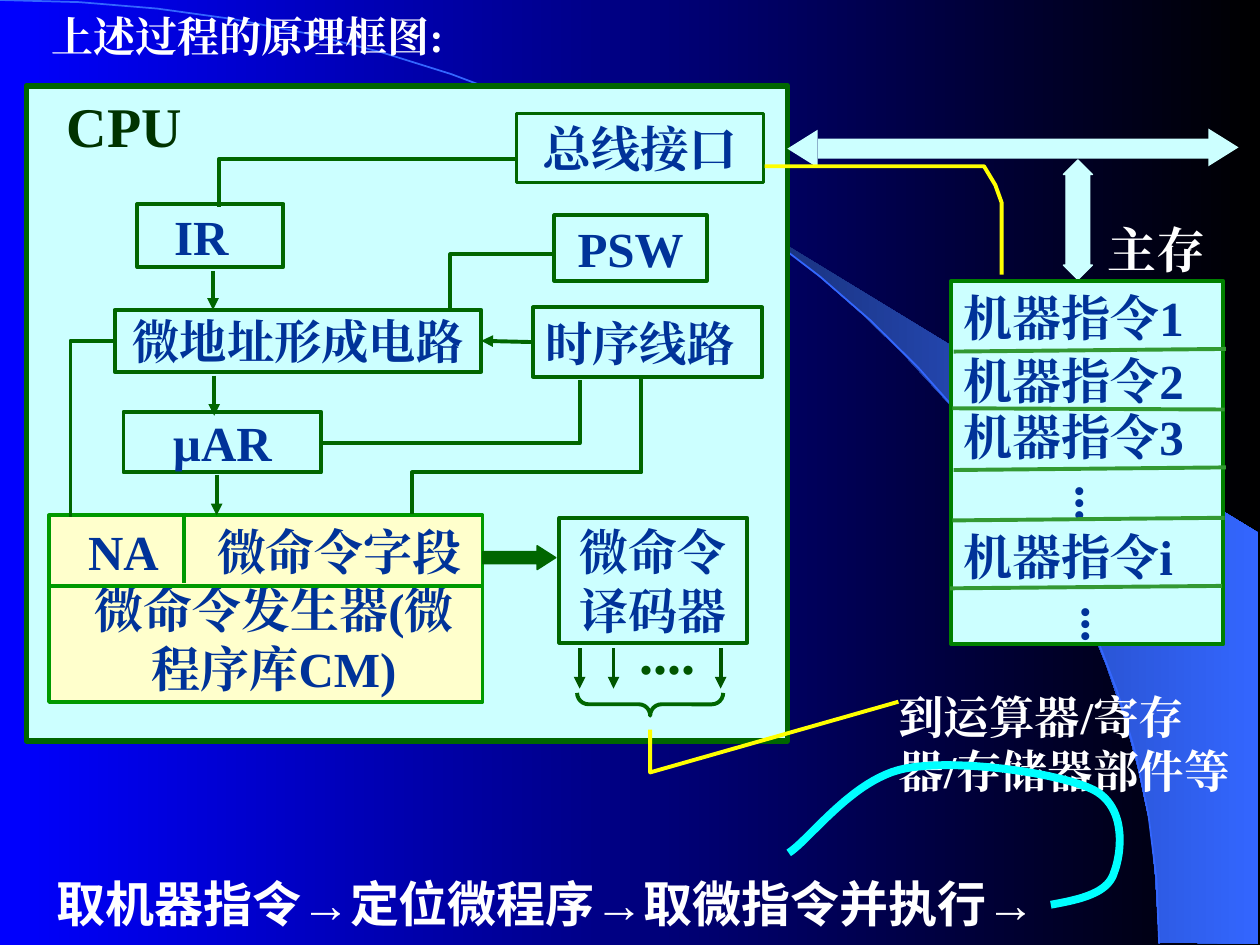
import pptx
import pptx.util
import pptx.dml.color
import pptx.enum.shapes
import pptx.enum.text
import pptx.oxml.ns
from lxml import etree

Pt = pptx.util.Pt
rgb = pptx.dml.color.RGBColor.from_string
qn = pptx.oxml.ns.qn
SHAPE = pptx.enum.shapes.MSO_SHAPE
ALIGN = pptx.enum.text.PP_ALIGN
ANCHOR = pptx.enum.text.MSO_ANCHOR

GREEN, DARK, LIME, MOSS = "006600", "005600", "009900", "339933"
NAVY, WHITE, YELLOW, PALE = "003399", "FFFFFF", "FFFF00", "CCFFFF"
SERIF, SANS = "Times New Roman", "Noto Sans CJK SC"

prs = pptx.Presentation()
prs.slide_width, prs.slide_height = Pt(720), Pt(540)
s = prs.slides.add_slide(prs.slide_layouts[5])


def box(x, y, w, h, text="", size=28, color=NAVY, kind=None, fill=None, line=None, width=2.25,
        align=ALIGN.CENTER, anchor=ANCHOR.MIDDLE, inset=7.2, wrap=True, sp=None):
    """Add a shape (or a text box when kind is None), or format sp; text may be (text, font) runs."""
    if sp is not None:
        sp.left, sp.top, sp.width, sp.height = Pt(x), Pt(y), Pt(w), Pt(h)
    elif kind is None:
        sp = s.shapes.add_textbox(Pt(x), Pt(y), Pt(w), Pt(h))
    else:
        sp = s.shapes.add_shape(kind, Pt(x), Pt(y), Pt(w), Pt(h))
        sp.shadow.inherit = False
        if fill:
            sp.fill.solid()
            sp.fill.fore_color.rgb = rgb(fill)
        else:
            sp.fill.background()
        if line:
            sp.line.color.rgb = rgb(line)
            sp.line.width = Pt(width)
        else:
            sp.line.fill.background()
    if text:
        tf = sp.text_frame
        tf.word_wrap = wrap
        tf.auto_size = pptx.enum.text.MSO_AUTO_SIZE.NONE
        tf.vertical_anchor = anchor
        tf.margin_left, tf.margin_right = Pt(inset), Pt(7.2)
        tf.margin_top = tf.margin_bottom = Pt(3.6)
        p = tf.paragraphs[0]
        p.alignment = align
        p.font.size, p.font.bold = Pt(size), True
        p.font.color.rgb = rgb(color)
        for words, face in [(text, SERIF)] if isinstance(text, str) else text:
            r = p.add_run()
            r.text = words
            r.font.name = face
            etree.SubElement(r.font._element, qn("a:ea"), typeface=face)
    return sp


def stroke(points, color=GREEN, width=2.25, arrow=False):
    """Draw a connector through two points, or an open polyline through more."""
    pts = [(Pt(x), Pt(y)) for x, y in points]
    if len(pts) == 2:
        sp = s.shapes.add_connector(pptx.enum.shapes.MSO_CONNECTOR.STRAIGHT, *pts[0], *pts[1])
    else:
        builder = s.shapes.build_freeform(*pts[0])
        builder.add_line_segments(pts[1:], close=False)
        sp = builder.convert_to_shape()
        sp.fill.background()
    sp.line.color.rgb = rgb(color)
    sp.line.width = Pt(width)
    if arrow:
        etree.SubElement(sp.line._get_or_add_ln(), qn("a:tailEnd"), type="triangle")
    if len(pts) == 2:
        etree.SubElement(sp._element.spPr, qn("a:effectLst"))
    else:
        sp.shadow.inherit = False
    return sp


# Background and decoration
swoosh_points = [
    (662.4, 538.6), (719.3, 539.3), (719.3, 304.6), (424.1, 124.6), (449.3, 143.3), (470.2, 159.8),
    (493.2, 180), (515.5, 201.6), (548.6, 237.6), (578.2, 276.5), (599, 310.3), (617.8, 344.9),
    (632.2, 380.2), (643, 411.8), (650.2, 438.5), (657.4, 472.3), (660.2, 501.1)]
pts = [(Pt(x), Pt(y)) for x, y in swoosh_points]
builder = s.shapes.build_freeform(*pts[0])
builder.add_line_segments(pts[1:], close=True)
swoosh = builder.convert_to_shape()
swoosh.shadow.inherit = False
swoosh.line.fill.background()
for fill, colors in [(s.background.fill, ("0000FF", "000000")), (swoosh.fill, ("182F76", "3366FF"))]:
    fill.gradient()
    fill.gradient_angle = 0
    for stop, position, color in zip(fill.gradient_stops, (0, 1), colors):
        stop.position = position
        stop.color.rgb = rgb(color)

# Curves as cubic Bezier chains, sampled into polylines
arc = [(0, 0), (365.8, 0), (662.4, 241.2), (662.4, 539.3)]
loop = [(600.5, 517), (617, 514.1), (632.9, 510.5), (636.5, 499), (640.8, 488.2), (644.4, 461.5),
        (625, 451.4), (604.8, 441.4), (545.8, 433.4), (517, 439.2), (487.4, 445), (463, 479.5),
        (450.7, 487.4)]
curves = []
for chain in (arc, loop):
    points = [chain[0]]
    for i in range(0, len(chain) - 1, 3):
        a, b, c, d = chain[i:i + 4]
        for t in [k / 24 for k in range(1, 25)]:
            u = 1 - t
            points.append(tuple(u**3 * a[j] + 3 * u * u * t * b[j] + 3 * u * t * t * c[j] + t**3 * d[j]
                                for j in (0, 1)))
    curves.append(points)
stroke(curves[0], "3366FF", 1)

title = box(22.3, 2.2, 373, 36, "上述过程的原理框图:", 24, WHITE, align=ALIGN.LEFT,
            anchor=ANCHOR.TOP, sp=s.shapes.title)
s.shapes.element.append(title.element)

# CPU and its blocks
RECT = SHAPE.RECTANGLE
box(15.1, 49, 434.9, 374.4, "CPU", 32, "003300", RECT, PALE, GREEN, 3.25, ALIGN.LEFT, ANCHOR.TOP, 23.2)
box(295.2, 64.8, 141.1, 39.6, "总线接口", kind=RECT, line=GREEN, width=2)
box(78.5, 116.6, 83.5, 36, "IR", kind=RECT, fill=PALE, line=GREEN, align=ALIGN.LEFT, inset=21)
timing = box(304.6, 175.7, 131, 39.6, "时序线路", 27, kind=RECT, fill=PALE, line=GREEN, align=ALIGN.LEFT)
box(316.8, 123.1, 87.1, 37.4, "PSW", kind=RECT, fill=PALE, line=GREEN)
address = box(65.5, 177.1, 209.5, 35.3, "微地址形成电路", 27, kind=RECT, line=GREEN)
box(70.6, 235.4, 113, 34.6, "µAR", kind=RECT, line=GREEN)
box(319.7, 295.9, 107.3, 71.3, "微命令译码器", kind=RECT, fill=PALE, line=GREEN)

# Microinstruction register over the control memory
box(28.1, 294.5, 247.7, 106.6, kind=RECT, fill="FFFFCC", line=LIME)
box(28.1, 294.5, 81, 40.3, "NA", inset=11)
box(105.1, 294.5, 174.7, 40.3, "微命令字段", inset=10)
box(28.1, 331.2, 247.7, 67.7, "微命令发生器(微程序库CM)", inset=16.5)
stroke([(28.1, 334.8), (275.8, 334.8)], LIME)
stroke([(105.1, 293), (105.1, 333.4)], LIME)

# Wiring inside the CPU
for x, top, bottom in [(121.7, 154.8, 177.1), (122.4, 214.6, 237.6), (123.8, 271.4, 294.5)]:
    stroke([(x, top), (x, bottom)], arrow=True)
link = stroke([(304.6, 195.5), (275, 194.8)], arrow=True)
link.begin_connect(timing, 1)
link.end_connect(address, 3)
for wire in [
    [(294.5, 90.7), (125.3, 90.7), (125.3, 118)],
    [(40.3, 295.2), (40.3, 194.8), (66.6, 194.8)],
    [(316.1, 145.4), (257.3, 145.4), (257.3, 177.1)],
    [(331.2, 217.4), (331.2, 253.4), (182.9, 253.4)],
    [(366.5, 216.7), (366.5, 270), (235.4, 270), (235.4, 293.8)],
]:
    stroke(wire)

# Decoder input and outputs
decode = box(275.8, 311.8, 41.8, 13.7, kind=SHAPE.RIGHT_ARROW, fill=GREEN, line=GREEN, width=0.75)
decode.adjustments[0], decode.adjustments[1] = 0.5, 0.78
for x in (331.2, 350.6, 411.8):
    stroke([(x, 370.4), (x, 393.5)], DARK, arrow=True)
dots = box(358.6, 357.1, 49, 38.2, "....", 32, DARK, align=ALIGN.LEFT, anchor=ANCHOR.TOP)
dots.text_frame.paragraphs[0].line_spacing = 0.8
brace = box(365, 360.7, 13, 83.5, kind=SHAPE.RIGHT_BRACE, line=GREEN)
brace.adjustments[0] = brace.adjustments[1] = 0.5
brace.rotation = 90

# Bus
for x, y, angle in [(447.8, 76.3, 270), (688.3, 75.6, 90)]:
    box(x, y, 21.6, 17.3, kind=SHAPE.ISOSCELES_TRIANGLE, fill=PALE).rotation = angle
box(467.3, 79.2, 223.9, 11.5, kind=RECT, fill=PALE)
updown = box(607.7, 91.4, 16.6, 68.4, kind=SHAPE.UP_DOWN_ARROW, fill=PALE, line=PALE, width=0.75)
updown.adjustments[0], updown.adjustments[1] = 0.5, 0.82

# Main memory
box(625.7, 121.7, 69.8, 41, "主存", color=WHITE, align=ALIGN.LEFT, wrap=False)
box(543.6, 160.6, 155.5, 207.4, kind=RECT, fill=PALE, line="008000")
for label, middle in [("1", 181.4), ("2", 217), ("3", 249), ("i", 317.5)]:
    box(543.6, middle - 20.5, 147, 41, "机器指令" + label, align=ALIGN.LEFT, wrap=False)
for x, y in [(599, 270), (602.6, 339.1)]:
    more = box(x, y, 47.5, 28.1, "...", align=ALIGN.LEFT, anchor=ANCHOR.TOP, wrap=False)
    tf = more.text_frame
    tf.margin_left = tf.margin_right = Pt(3.6)
    tf.margin_top = tf.margin_bottom = Pt(7.2)
    tf._txBody.bodyPr.set("vert", "eaVert")
for x, left_y, right_y in [(545, 200.9, 199.4), (544.3, 233.3, 234), (545, 268.6, 267.1),
                           (544.3, 297.4, 295.9), (542.9, 336.2, 334.8)]:
    stroke([(x, left_y), (x + 155.5, right_y)], MOSS)

# Links leaving the CPU, and the closing summary
stroke([(437, 95), (562.3, 95), (568.8, 105.8), (572.4, 115.9), (572.4, 157)], YELLOW)
box(506.2, 374.4, 209.5, 100.8, "到运算器/寄存器/存储器部件等", 26, WHITE, align=ALIGN.LEFT)
stroke([(371.5, 416.9), (371.5, 441.4), (513.4, 401)], YELLOW)
summary = [("取机器指令", SANS), ("→", "Arial"), ("定位微程序", SANS), ("→", "Arial"),
           ("取微指令并执行", SANS), ("→", "Arial")]
box(25.2, 495.4, 658, 41, summary, color=WHITE, align=ALIGN.LEFT)
stroke(curves[1], "00FFFF", 4.5)

prs.save("out.pptx")
